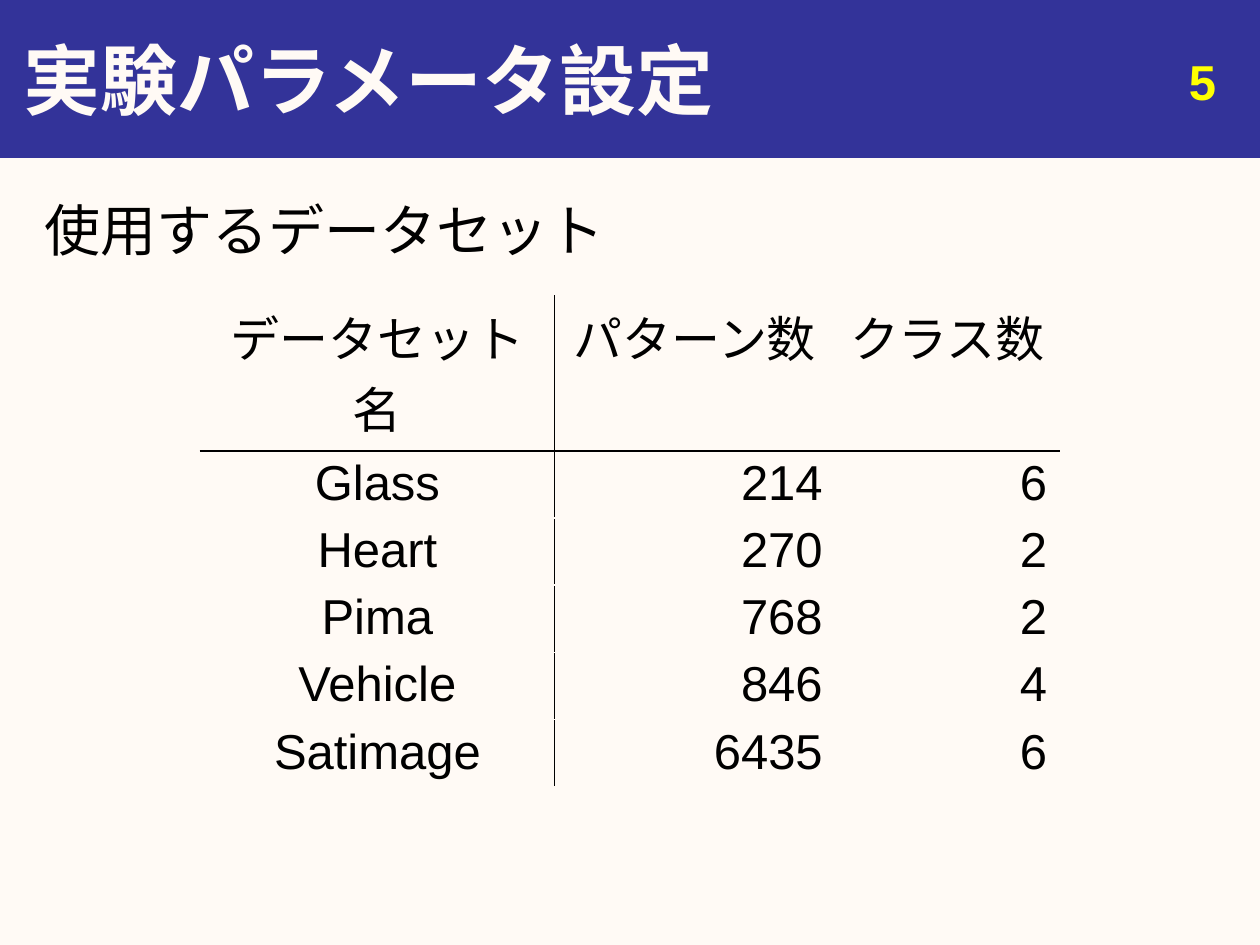
from pptx import Presentation
from pptx.dml.color import RGBColor
from pptx.enum import shapes, text
from pptx.oxml import ns, xmlchemy as xc
from pptx.util import Pt

PAPER, NAVY, INK, GOLD = "FFFAF5", "333399", "000000", "FFFF00"
ALIGN = text.PP_ALIGN
ROWS = [
    ("データセット名", "パターン数", "クラス数"),
    ("Glass", "214", "6"),
    ("Heart", "270", "2"),
    ("Pima", "768", "2"),
    ("Vehicle", "846", "4"),
    ("Satimage", "6435", "6"),
]


def paint(target, color):
    """Give a fill a solid colour."""
    target.solid()
    target.fore_color.rgb = RGBColor.from_string(color)


def write(frame, words, size, color, align=ALIGN.LEFT, bold=False):
    """Put one run in the first paragraph and return the paragraph."""
    para = frame.paragraphs[0]
    para.alignment = align
    run = para.add_run()
    run.text = words
    run.font.name = "Arial"
    run.font.size = Pt(size)
    run.font.bold = bold
    paint(run.font.fill, color)
    return para


def place(shape, box):
    """Move a shape to a box of left, top, width, height."""
    shape.left, shape.top, shape.width, shape.height = map(Pt, box)


def fit(frame, anchor):
    """Wrap the text at a fixed size."""
    frame.word_wrap = True
    frame.auto_size = text.MSO_AUTO_SIZE.NONE
    frame.vertical_anchor = anchor


def header(slide, box, title, number):
    """Draw the band with the title and the page number."""
    left, top, width, height = box
    band = slide.shapes.add_shape(
        shapes.MSO_SHAPE.RECTANGLE, *map(Pt, box))
    band.shadow.inherit = False
    paint(band.fill, NAVY)
    paint(band.line.fill, NAVY)
    band.line.width = Pt(0.75)
    slide.shapes.title.element.addprevious(band.element)

    head = slide.shapes.title
    place(head, (left + 6, top, width - 6, height))
    fit(head.text_frame, text.MSO_ANCHOR.MIDDLE)
    write(head.text_frame, title, 44, PAPER, bold=True)

    page = slide.shapes.add_textbox(0, 0, 0, 0)
    place(page, (left + width - 186, top + 26, 168, 37.5))
    fit(page.text_frame, text.MSO_ANCHOR.TOP)
    write(page.text_frame, number, 28, GOLD, ALIGN.RIGHT, True)


def lead(slide, box, words):
    """Fill the body placeholder with one plain line."""
    body = slide.placeholders[1]
    place(body, box)
    fit(body.text_frame, text.MSO_ANCHOR.TOP)
    para = write(body.text_frame, words, 32, INK)
    para.space_before = Pt(6.4)
    props = para._p.get_or_add_pPr()
    props.set("marL", "0")
    props.set("indent", "0")
    props.append(xc.OxmlElement("a:buNone"))


def edge(cell, colors):
    """Draw the left, right, top and bottom borders of a cell."""
    props = cell._tc.get_or_add_tcPr()
    for spot, (side, color) in enumerate(zip("LRTB", colors)):
        line = xc.OxmlElement("a:ln" + side)
        line.set("w", str(Pt(1)))
        fill = xc.OxmlElement("a:solidFill")
        tint = xc.OxmlElement("a:srgbClr")
        tint.set("val", color)
        fill.append(tint)
        line.append(fill)
        props.insert(spot, line)


def grid(slide, box, rows, widths, tall, short):
    """Draw the table with a rule below its head and beside its names."""
    table = slide.shapes.add_table(
        len(rows), len(widths), *map(Pt, box)).table
    table.first_row = table.horz_banding = False
    for col, width in zip(table.columns, widths):
        col.width = Pt(width)
    for r, row in enumerate(rows):
        table.rows[r].height = Pt(short if r else tall)
        for c, words in enumerate(row):
            cell = table.cell(r, c)
            cell.fill.background()
            cell.margin_top = cell.margin_bottom = Pt(3.1)
            align = ALIGN.RIGHT if r and c else ALIGN.CENTER
            write(cell.text_frame, words, 28, INK, align)
            dark = (c == 1, c == 0, r == 1, r == 0)
            edge(cell, [INK if d else PAPER for d in dark])


def main():
    """Build and save the slide."""
    deck = Presentation()
    deck.slide_width, deck.slide_height = Pt(720), Pt(540)
    slide = deck.slides.add_slide(deck.slide_layouts[1])
    paint(slide.background.fill, PAPER)
    header(slide, (0, 0, 720, 90), "実験パラメータ設定", "5")
    lead(slide, (18, 108, 684, 408), "使用するデータセット")
    grid(slide, (114.5, 169, 491, 281), ROWS,
         (202.3, 160.5, 128.2), 88.6, 38.4)
    deck.save("out.pptx")


main()
